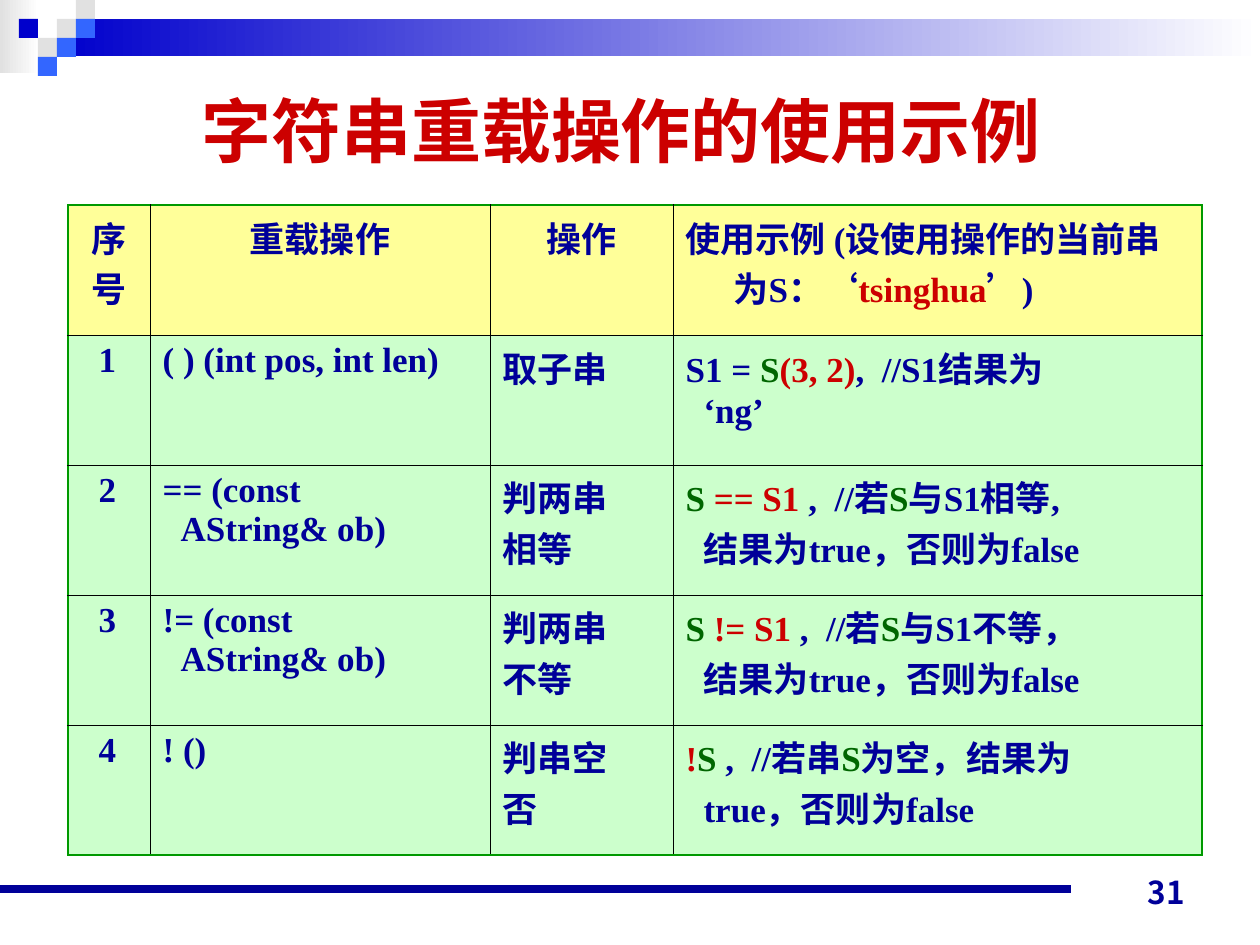
from lxml.etree import SubElement
from pptx import Presentation
from pptx.dml.color import RGBColor
from pptx.enum.shapes import MSO_CONNECTOR, MSO_SHAPE
from pptx.enum.text import MSO_ANCHOR, PP_ALIGN
from pptx.oxml.ns import qn
from pptx.util import Pt

EMU_PER_PX = 914400 / 126
COLORS = {
    "navy": "000099", "blue": "0000CC", "sky": "3366FF", "gray": "E1E1E1",
    "white": "FFFFFF", "red": "CC0000", "green": "006600", "frame": "009900",
    "black": "000000", "header": "FFFF99", "body": "CCFFCC",
}
CJK_FONT = "Noto Sans CJK JP"
COLUMN_WIDTHS = (82, 340, 183, 529)
HANGING_INDENT = 48
STEP_INDENT = 18

HEADINGS = [
    ["序", "号"],
    ["重载操作"],
    ["操作"],
    [[("使用示例 (设使用操作的当前串为S：‘", "navy"), ("tsinghua", "red"), ("’)", "navy")]],
]
OPERATIONS = [
    [["1"], ["( ) (int pos, int len)"], ["取子串"],
     [[("S1 = ", "navy"), ("S", "green"), ("(3, 2)", "red"), (",  //S1结果为", "navy")],
      "‘ng’"]],
    [["2"], ["== (const", "AString& ob)"], ["判两串", "相等"],
     [[("S ", "green"), ("== S1", "red"), (" ,  //若", "navy"), ("S", "green"),
       ("与S1相等,", "navy")],
      "结果为true，否则为false"]],
    [["3"], ["!= (const", "AString& ob)"], ["判两串", "不等"],
     [[("S", "green"), (" != S1", "red"), (" ,  //若", "navy"), ("S", "green"),
       ("与S1不等，", "navy")],
      "结果为true，否则为false"]],
    [["4"], ["! ()"], ["判串空", "否"],
     [[("!", "red"), ("S", "green"), (" ,  //若串", "navy"), ("S", "green"),
       ("为空，结果为", "navy")],
      "true，否则为false"]],
]


def px(length):
    """Turn pixels into EMU."""
    return round(length * EMU_PER_PX)


def rgb(color):
    """Look up a colour by name."""
    return RGBColor.from_string(COLORS[color])


def format_run(run, size, font_name, color):
    """Give a run its bold Latin and East Asian fonts, size and colour."""
    font = run.font
    font.size, font.bold, font.name = Pt(size), True, font_name
    font.color.rgb = rgb(color)
    SubElement(run._r.get_or_add_rPr(), qn("a:ea"), typeface=CJK_FONT)


def add_block(slide, left, top, width, height, color, fade=False):
    """Draw a borderless rectangle, optionally fading to white on the right."""
    block = slide.shapes.add_shape(
        MSO_SHAPE.RECTANGLE, px(left), px(top), px(width), px(height))
    block.shadow.inherit = False
    block.line.fill.background()
    if fade:
        block.fill.gradient()
        block.fill.gradient_angle = 0
        for stop, stop_color in zip(block.fill.gradient_stops, (color, "white")):
            stop.color.rgb = rgb(stop_color)
    else:
        block.fill.solid()
        block.fill.fore_color.rgb = rgb(color)


def add_banner(slide, left, top, width, tile):
    """Draw the fading bands and the mosaic of square tiles."""
    add_block(slide, left, top, 39, 73, "gray", fade=True)
    add_block(slide, left + 3 * tile, top + tile, width - 3 * tile, 2 * tile - 1,
              "blue", fade=True)
    mosaic = [(3, 1, "gray"), (4, 0, "gray"), (4, 1, "sky"), (2, 2, "gray"),
              (1, 1, "blue"), (3, 2, "sky"), (2, 3, "sky")]
    for column, row, color in mosaic:
        add_block(slide, left + column * tile, top + row * tile, tile, tile, color)


def add_label(slide, left, top, width, height, text, size, font_name, color, align, anchor):
    """Place one line of bold text in a box."""
    label = slide.shapes.add_textbox(px(left), px(top), px(width), px(height))
    frame = label.text_frame
    frame.word_wrap = True
    frame.vertical_anchor = anchor
    frame.text = text
    paragraph = frame.paragraphs[0]
    paragraph.alignment = align
    format_run(paragraph.runs[0], size, font_name, color)


def add_footer(slide, left, top, rule_width, number):
    """Draw the footer rule and the slide number."""
    rule = slide.shapes.add_connector(
        MSO_CONNECTOR.STRAIGHT, px(left), px(top), px(left + rule_width), px(top))
    rule.line.color.rgb = rgb("navy")
    rule.line.width = Pt(4.5)
    SubElement(rule._element.spPr, qn("a:effectLst"))
    add_label(slide, left + 903, top - 35, 294, 63, number, 18, CJK_FONT, "navy",
              PP_ALIGN.RIGHT, MSO_ANCHOR.BOTTOM)


def set_borders(cell, outer_sides):
    """Draw green lines on the outer sides of a cell and black ones inside."""
    properties = cell._tc.get_or_add_tcPr()
    for side in "LRTB":
        color, width = ("frame", 1.08) if side in outer_sides else ("black", 0.45)
        border = SubElement(properties, qn(f"a:ln{side}"), w=str(Pt(width)))
        fill = SubElement(border, qn("a:solidFill"))
        SubElement(fill, qn("a:srgbClr"), val=COLORS[color])


def fill_cell(cell, lines, row, column):
    """Write the lines of a cell with the indents and alignment of its place."""
    frame = cell.text_frame
    for index, line in enumerate(lines):
        paragraph = frame.add_paragraph() if index else frame.paragraphs[0]
        properties = paragraph._p.get_or_add_pPr()
        if row == 0 and column == 3:
            properties.set("marL", str(px(HANGING_INDENT)))
            properties.set("indent", str(-px(HANGING_INDENT)))
        elif row and (column == 0 or index and column in (1, 3)):
            properties.set("marL", str(px(STEP_INDENT)))
        centered = row == 0 and column < 3
        paragraph.alignment = PP_ALIGN.CENTER if centered else PP_ALIGN.LEFT
        for text, color in [(line, "navy")] if isinstance(line, str) else line:
            run = paragraph.add_run()
            run.text = text
            format_run(run, 20, "Times New Roman", color)


def add_operations_table(slide, left, top, row_height):
    """Build the table of overloaded operations."""
    rows = [HEADINGS] + OPERATIONS
    last_row, last_column = len(rows) - 1, len(COLUMN_WIDTHS) - 1
    table = slide.shapes.add_table(
        len(rows), len(COLUMN_WIDTHS), px(left), px(top),
        px(sum(COLUMN_WIDTHS)), px(row_height * len(rows))).table
    table.first_row = table.horz_banding = False
    for column, width in enumerate(COLUMN_WIDTHS):
        table.columns[column].width = px(width)
    for row, entries in enumerate(rows):
        table.rows[row].height = px(row_height)
        for column, lines in enumerate(entries):
            cell = table.cell(row, column)
            edges = {"L": column == 0, "R": column == last_column,
                     "T": row == 0, "B": row == last_row}
            set_borders(cell, [side for side, outer in edges.items() if outer])
            cell.fill.solid()
            cell.fill.fore_color.rgb = rgb("body" if row else "header")
            fill_cell(cell, lines, row, column)


def main():
    """Build and save the slide."""
    presentation = Presentation()
    presentation.slide_width, presentation.slide_height = px(1260), px(945)
    slide = presentation.slides.add_slide(presentation.slide_layouts[6])
    add_banner(slide, 0, 0, 1260, 19)
    add_footer(slide, 0, 889, 1071, "31")
    add_label(slide, 63, 63, 1116, 132, "字符串重载操作的使用示例", 40, "Arial", "red",
              PP_ALIGN.CENTER, MSO_ANCHOR.MIDDLE)
    add_operations_table(slide, 68, 205, 130)
    presentation.save("out.pptx")


if __name__ == "__main__":
    main()
